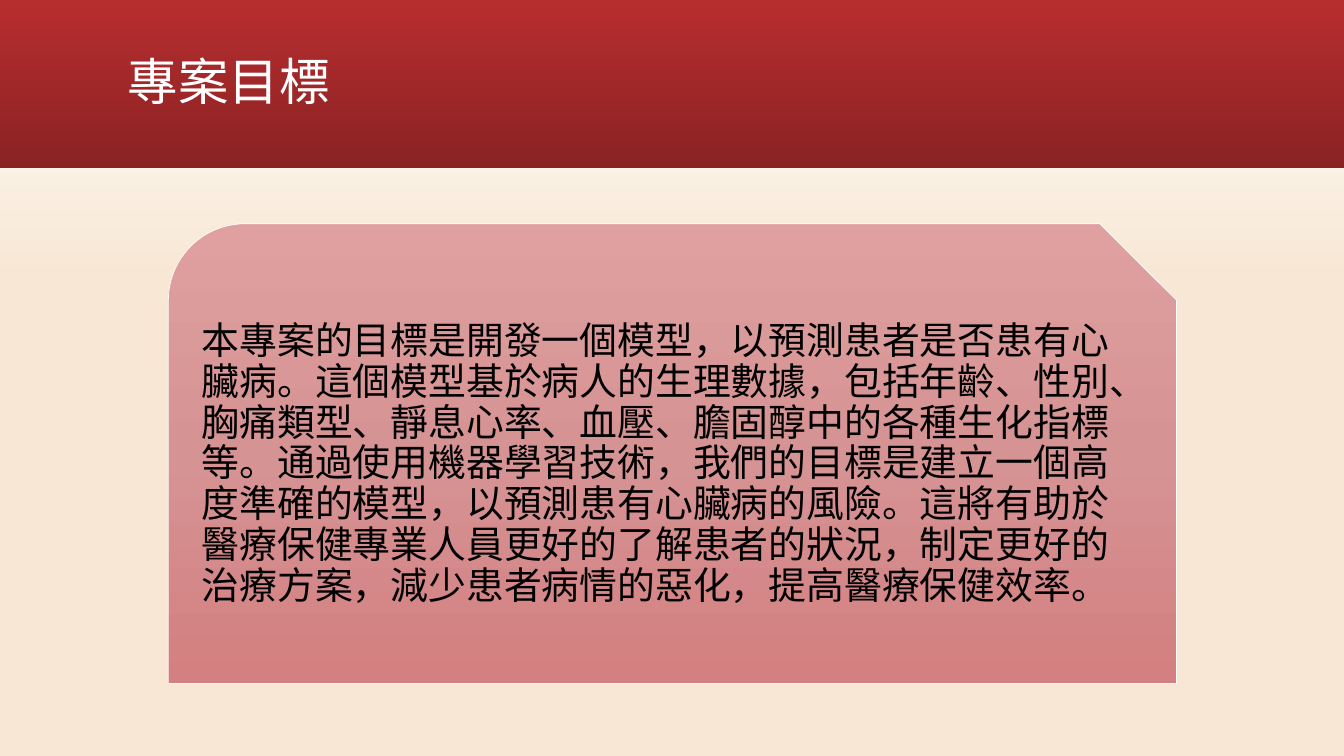
from lxml.etree import SubElement
from pptx import Presentation
from pptx.dml.color import RGBColor
from pptx.enum.shapes import MSO_SHAPE as Shape
from pptx.enum.text import MSO_ANCHOR as Anchor
from pptx.oxml.ns import qn
from pptx.util import Inches, Pt

WHITE = RGBColor(0xFF, 0xFF, 0xFF)
BLACK = RGBColor(0x00, 0x00, 0x00)
CREAM = RGBColor(0xF8, 0xE7, 0xD4)
RED = RGBColor(0xB8, 0x2D, 0x2F)
DARK_RED = RGBColor(0x8A, 0x22, 0x23)
PALE_ROSE = RGBColor(0xE0, 0xA0, 0xA0)
ROSE = RGBColor(0xD6, 0x93, 0x94)
DEEP_ROSE = RGBColor(0xD4, 0x7F, 0x80)

GOAL = (
    "本專案的目標是開發一個模型，以預測患者是否患有心臟病。"
    "這個模型基於病人的生理數據，包括年齡、性別、胸痛類型、靜息心率、血壓、膽固醇中的各種生化指標等。"
    "通過使用機器學習技術，我們的目標是建立一個高度準確的模型，以預測患有心臟病的風險。"
    "這將有助於醫療保健專業人員更好的了解患者的狀況，制定更好的治療方案，減少患者病情的惡化，提高醫療保健效率。"
)


def paint_gradient(fill, element, angle, stops):
    """Fill with (percent, colour, opacity percent) stops; angle is counter-clockwise."""
    fill.gradient()
    fill.gradient_angle = angle
    stop_list = next(element.iter(qn("a:gsLst")))
    stop_list.clear()
    for percent, color, opacity in stops:
        stop = SubElement(stop_list, qn("a:gs"), pos=str(percent * 1000))
        shade = SubElement(stop, qn("a:srgbClr"), val=str(color))
        if opacity < 100:
            SubElement(shade, qn("a:alpha"), val=str(opacity * 1000))


def add_text(page, place, text, size, font, color, inset):
    box = page.shapes.add_textbox(*map(Inches, place))
    frame = box.text_frame
    frame.word_wrap = True
    frame.vertical_anchor = Anchor.MIDDLE
    frame.margin_left = frame.margin_right = Inches(inset)
    frame.margin_top = frame.margin_bottom = Inches(inset)
    para = frame.paragraphs[0]
    para.line_spacing = 0.9
    span = para.add_run()
    span.text = text
    span.font.size = Pt(size)
    span.font.name = font
    span.font.color.rgb = color
    SubElement(span.font._element, qn("a:ea"), typeface=font)


deck = Presentation()
deck.slide_width, deck.slide_height = Inches(13.33), Inches(7.5)
page = deck.slides.add_slide(deck.slide_layouts[6])
paint_gradient(page.background.fill, page.background._cSld, 90,
               [(63, CREAM, 78), (100, WHITE, 100)])

band = page.shapes.add_shape(Shape.RECTANGLE, 0, 0, deck.slide_width, Inches(1.67))
band.shadow.inherit = False
band.line.fill.background()
paint_gradient(band.fill, band._element, 270, [(0, RED, 100), (100, DARK_RED, 100)])
add_text(page, (1.17, 0.11, 11, 1.45), "專案目標", 36, "Noto Sans CJK TC", WHITE, 0.1)

card = page.shapes.add_shape(Shape.SNIP_ROUND_RECTANGLE,
                             *map(Inches, (1.67, 2.22, 10, 4.56)))
card.shadow.inherit = False
card.line.color.rgb = WHITE
card.line.width = Pt(0.5)
paint_gradient(card.fill, card._element, 270,
               [(0, PALE_ROSE, 100), (50, ROSE, 100), (100, DEEP_ROSE, 100)])
add_text(page, (1.89, 2.44, 9.4, 4.34), GOAL, 27, "Karla", BLACK, 0.11)

deck.save("out.pptx")
